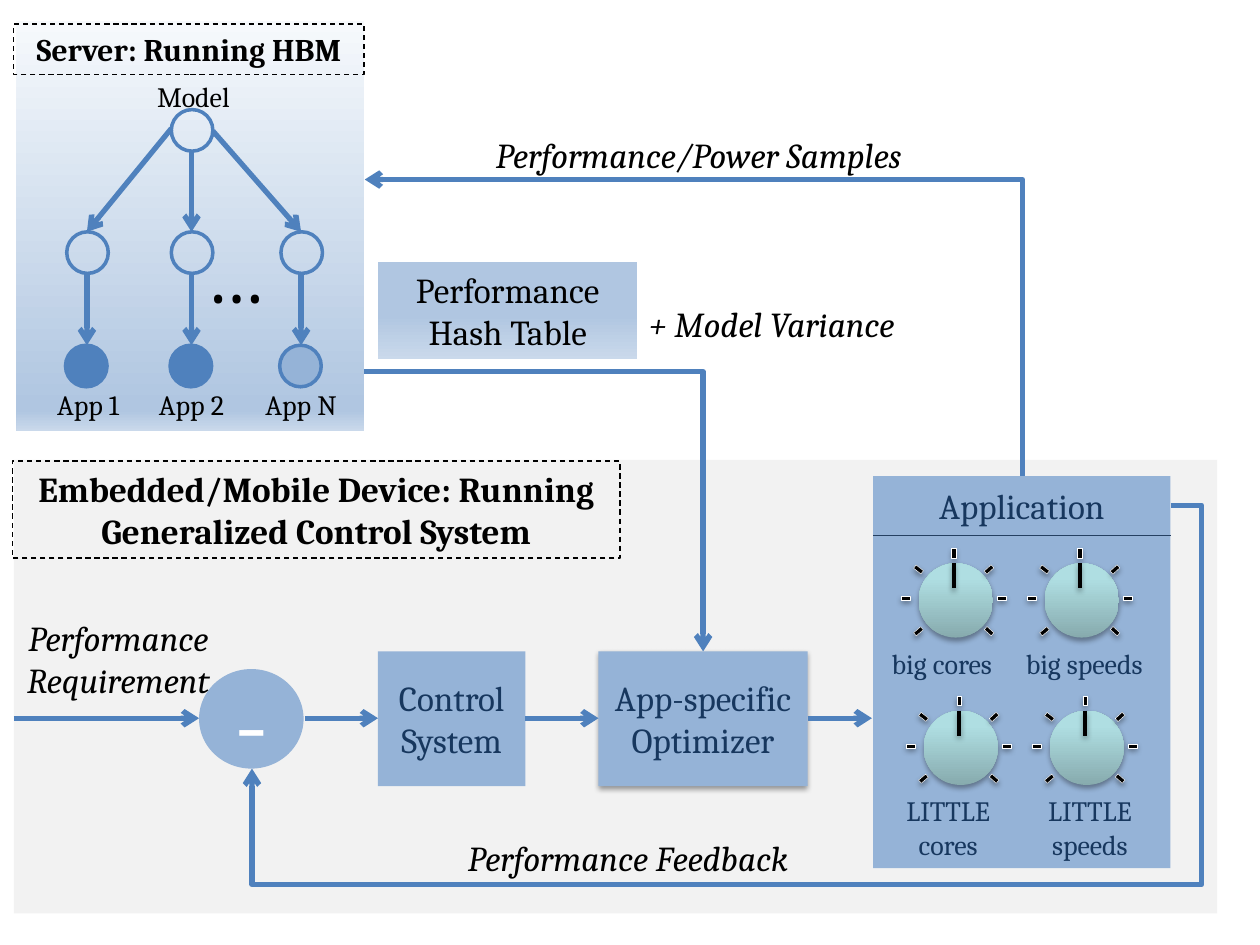
from lxml.etree import SubElement
from pptx import Presentation
from pptx.dml.color import RGBColor
from pptx.enum.dml import MSO_LINE
from pptx.enum.shapes import MSO_CONNECTOR, MSO_SHAPE
from pptx.enum.text import MSO_ANCHOR, MSO_AUTO_SIZE, PP_ALIGN
from pptx.oxml.ns import qn
from pptx.util import Inches, Pt

COLORS = {
    "blue": "4F81BD", "light": "95B3D7", "navy": "17375E", "rule": "254061",
    "panel": "F2F2F2", "black": "000000", "white": "FFFFFF",
}
SERVER_GRADIENT = [(0, "F6F9FC"), (94, "B0C6E1"), (95, "B0C6E1"), (100, "CAD9EB")]
TABLE_GRADIENT = [(0, "F6F9FC"), (0, "B0C6E1"), (55, "B0C6E1"), (100, "CAD9EB")]
DIAL_GRADIENT = [(0, "87ABAE"), (80, "AFDEE2"), (100, "AFE0E4")]
RECT, OVAL, MINUS = MSO_SHAPE.RECTANGLE, MSO_SHAPE.OVAL, MSO_SHAPE.MATH_MINUS


def rgb(name):
    """Return the named colour."""
    return RGBColor.from_string(COLORS[name])


def set_effect(shape, alpha=None, dist=1.6):
    """Give the shape a soft drop shadow, or an empty effect list."""
    spPr = shape._element.spPr
    for old in spPr.findall(qn("a:effectLst")):
        spPr.remove(old)
    effects = SubElement(spPr, qn("a:effectLst"))
    if alpha:
        shadow = SubElement(effects, qn("a:outerShdw"), blurRad=str(Pt(3.1)),
                            dist=str(Pt(dist)), dir="5400000", rotWithShape="0")
        color = SubElement(shadow, qn("a:srgbClr"), val=COLORS["black"])
        SubElement(color, qn("a:alpha"), val=str(alpha * 1000))


def set_gradient(shape, stops, angle):
    """Fill the shape with a linear gradient."""
    shape.fill.gradient()
    grad = shape._element.spPr.find(qn("a:gradFill"))
    gs_list = grad.find(qn("a:gsLst"))
    for old in list(gs_list):
        gs_list.remove(old)
    for pos, color in stops:
        gs = SubElement(gs_list, qn("a:gs"), pos=str(pos * 1000))
        SubElement(gs, qn("a:srgbClr"), val=color)
    grad.find(qn("a:lin")).set("ang", str(angle * 60000))


def write(shape, text, size=20, color="black", align=PP_ALIGN.CENTER, grow=False, **style):
    """Write one paragraph per line of text."""
    tf = shape.text_frame
    tf.word_wrap = True
    tf.vertical_anchor = MSO_ANCHOR.TOP if grow else MSO_ANCHOR.MIDDLE
    if grow:
        tf.auto_size = MSO_AUTO_SIZE.SHAPE_TO_FIT_TEXT
    formats = {"name": "Cambria", "size": Pt(size), **style}
    for i, line in enumerate(text.split("\n")):
        p = tf.paragraphs[0] if i == 0 else tf.add_paragraph()
        p.alignment = align
        r = p.add_run()
        r.text = line
        r.font.color.rgb = rgb(color)
        for key, value in formats.items():
            setattr(r.font, key, value)


def add_label(shapes, at, text, size=20, **style):
    """Add a text box that grows with its text."""
    box = shapes.add_textbox(*map(Inches, at))
    write(box, text, size, grow=True, **style)


def add_box(shapes, kind, at, fill=None, line=None, width=2, dash=None):
    """Add a flat preset shape."""
    sp = shapes.add_shape(kind, *map(Inches, at))
    sp.shadow.inherit = False
    if fill:
        sp.fill.solid()
        sp.fill.fore_color.rgb = rgb(fill)
    else:
        sp.fill.background()
    if line:
        sp.line.color.rgb = rgb(line)
        sp.line.width = Pt(width)
        sp.line.dash_style = dash
    else:
        sp.line.fill.background()
    return sp


def add_line(shapes, start, end, color="blue", width=3, arrow=True, kind=MSO_CONNECTOR.STRAIGHT):
    """Add a connector, with an arrowhead at its end if wanted."""
    line = shapes.add_connector(kind, *map(Inches, (*start, *end)))
    line.line.color.rgb = rgb(color)
    line.line.width = Pt(width)
    if arrow:
        SubElement(line.line._get_or_add_ln(), qn("a:tailEnd"), type="arrow")
    set_effect(line)
    return line


def add_elbow(shapes, at, preset, turn={}, adjust=()):
    """Add a bent arrow in a frame that may be rotated or flipped."""
    x, y, w, h = at
    line = add_line(shapes, (x, y), (x + w, y + h), kind=MSO_CONNECTOR.ELBOW)
    spPr = line._element.spPr
    for key, value in turn.items():
        spPr.find(qn("a:xfrm")).set(key, value)
    geom = spPr.find(qn("a:prstGeom"))
    geom.set("prst", preset)
    for i, value in enumerate(adjust, 1):
        SubElement(geom.find(qn("a:avLst")), qn("a:gd"), name=f"adj{i}", fmla=f"val {value}")


def add_knob(s, x, y):
    """Add a dial with a pointer and seven tick marks."""
    shapes = s.shapes.add_group_shape().shapes
    dial = add_box(shapes, OVAL, (x, y, 0.59, 0.59))
    set_gradient(dial, DIAL_GRADIENT, 270)
    set_effect(dial, 35, 1.8)
    pointer = add_line(shapes, (x + 0.28, y), (x + 0.28, y + 0.2), "black", 2, False)
    set_effect(pointer, 38)
    ticks = [(0.23, -0.15, 270), (0.61, 0.21, 0), (-0.15, 0.21, 0), (-0.05, -0.02, 37.7),
             (0.51, -0.02, 317.8), (-0.05, 0.47, 319.8), (0.51, 0.47, 42)]
    for dx, dy, angle in ticks:
        tick = add_box(shapes, MINUS, (x + dx, y + dy, 0.1, 0.14), "black", "white", 0.25)
        tick.rotation = angle
        set_effect(tick, 38)


def add_application(s):
    """Add the application block with its four knobs."""
    add_box(s.shapes, RECT, (6.93, 4.25, 2.36, 2.64), "light")
    for x, y in [(7.29, 4.47), (8.29, 4.47), (7.33, 5.64), (8.33, 5.64)]:
        add_knob(s, x, y)
    for at, text in [((6.83, 5.08, 1.29, 0.37), "big cores"),
                     ((7.96, 5.08, 1.29, 0.37), "big speeds"),
                     ((6.88, 6.25, 1.29, 0.64), "LITTLE cores"),
                     ((7.96, 6.25, 1.38, 0.64), "LITTLE speeds")]:
        add_label(s.shapes, at, text, 16, color="navy")
    head = add_box(s.shapes, RECT, (6.93, 3.78, 2.36, 0.47), "light")
    write(head, "Application", color="navy")


def add_control_loop(s):
    """Add the blocks and arrows of the control loop."""
    control = add_box(s.shapes, RECT, (3, 5.17, 1.17, 1.07), "light")
    write(control, "Control\nSystem", color="navy")
    minus = add_box(s.shapes, OVAL, (1.58, 5.31, 0.83, 0.79), "light")
    write(minus, "-", 60, "white")
    optimizer = add_box(s.shapes, RECT, (4.75, 5.17, 1.66, 1.07), "light")
    write(optimizer, "App-specific\nOptimizer", color="navy")
    set_effect(optimizer, 38)
    for x1, x2 in [(0.11, 1.58), (2.42, 3), (4.17, 4.75), (6.41, 6.92)]:
        add_line(s.shapes, (x1, 5.7), (x2, 5.7))


def add_server(s):
    """Add the server panel with the model tree."""
    shapes = s.shapes.add_group_shape().shapes
    panel = add_box(shapes, RECT, (0.13, 0.17, 2.76, 3.25))
    set_gradient(panel, SERVER_GRADIENT, 90)
    head = add_box(shapes, RECT, (0.11, 0.19, 2.78, 0.4), None, "black", 0.75, MSO_LINE.DASH)
    write(head, "Server: Running HBM", 18, grow=True, bold=True)
    add_label(shapes, (0.95, 0.58, 1.17, 0.37), "Model", 16)
    add_box(shapes, OVAL, (1.36, 0.87, 0.33, 0.33), None, "blue")
    branches = [(0.69, (1.36, 1.02), "App 1", 0.2, "blue"),
                (1.52, (1.52, 1.2), "App 2", 1.02, "blue"),
                (2.39, (1.69, 1.04), "App N", 1.89, "light")]
    for x, start, name, label_x, fill in branches:
        add_line(shapes, start, (x, 1.84))
        add_box(shapes, OVAL, (x - 0.16, 1.84, 0.33, 0.33), None, "blue")
        add_box(shapes, OVAL, (x - 0.17, 2.74, 0.33, 0.33), fill, "blue")
        add_line(shapes, (x, 2.17), (x, 2.74))
        add_label(shapes, (label_x, 3.03, 1, 0.37), name, 16)
    add_label(shapes, (1.53, 1.75, 0.58, 0.84), "…", 44, align=PP_ALIGN.LEFT)


def main():
    """Build the slide and save it."""
    prs = Presentation()
    prs.slide_width, prs.slide_height = Inches(10), Inches(7.5)
    s = prs.slides.add_slide(prs.slide_layouts[6])
    add_box(s.shapes, RECT, (0.11, 3.65, 9.55, 3.6), "panel")
    add_elbow(s.shapes, (2, 4.01, 7.29, 2.09), "bentConnector4", {"flipH": "1"}, (-3400, 144000))
    add_application(s)
    add_control_loop(s)
    table = add_box(s.shapes, RECT, (3, 2.08, 2.06, 0.77))
    set_gradient(table, TABLE_GRADIENT, 90)
    write(table, "Performance\nHash Table", grow=True)
    add_elbow(s.shapes, (4.33, -0.01, 2.35, 5.22), "bentConnector2",
              {"rot": "16200000", "flipV": "1"})
    add_elbow(s.shapes, (2.89, 2.95, 2.69, 2.22), "bentConnector2")
    device = add_box(s.shapes, RECT, (0.1, 3.66, 4.82, 0.77), None, "black", 0.75, MSO_LINE.DASH)
    write(device, "Embedded/Mobile Device: Running Generalized Control System", grow=True, bold=True)
    add_server(s)
    for at, text in [((3.11, 6.59, 3.75, 0.44), "Performance Feedback"),
                     ((-0.06, 4.84, 2, 0.77), "Performance\nRequirement"),
                     ((3.67, 1.01, 3.75, 0.44), "Performance/Power Samples"),
                     ((4.25, 2.35, 3.75, 0.44), "+ Model Variance")]:
        add_label(s.shapes, at, text, italic=True)
    add_line(s.shapes, (6.93, 4.25), (9.29, 4.25), "rule", 0.75, False)
    prs.save("out.pptx")


main()
